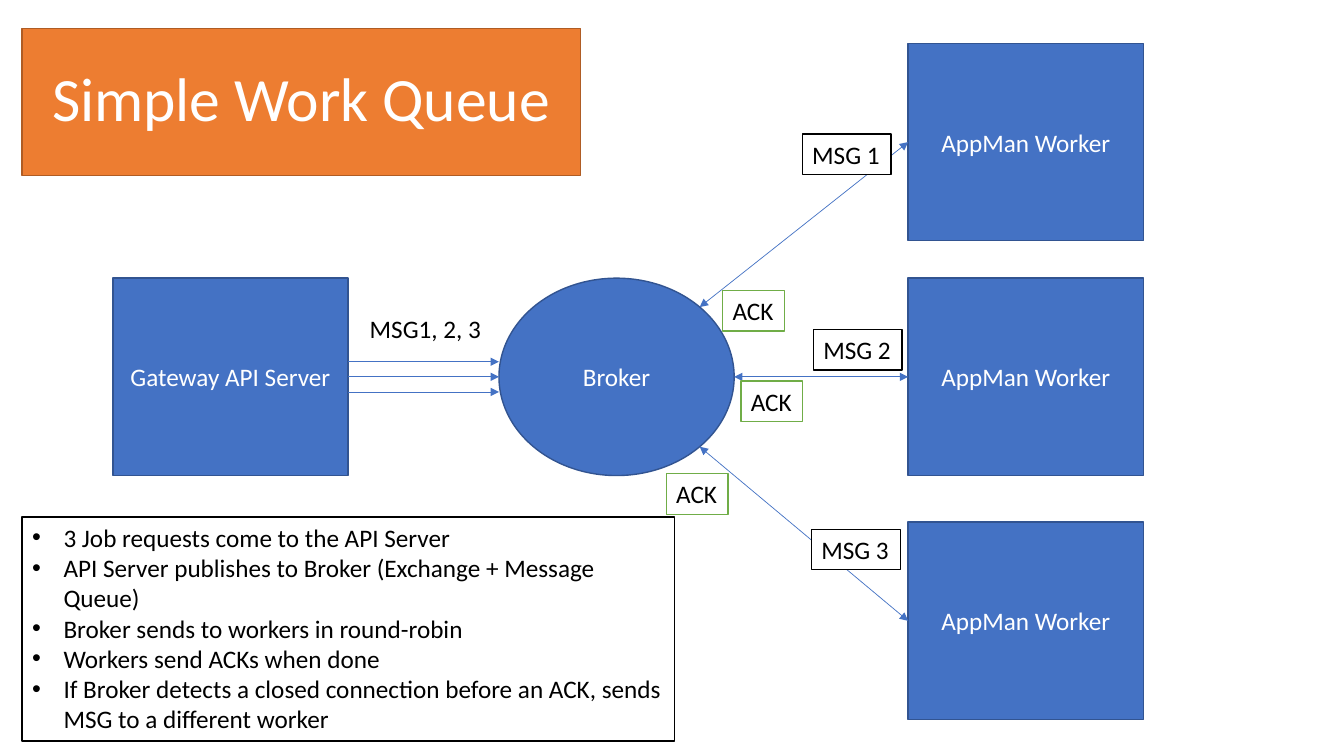
import math
from dataclasses import dataclass

import lxml.etree
import pptx
import pptx.dml.color
import pptx.enum.shapes
import pptx.enum.text
import pptx.oxml.ns
import pptx.util

Pt = pptx.util.Pt
Shape = pptx.enum.shapes.MSO_SHAPE
Align = pptx.enum.text.PP_ALIGN
Anchor = pptx.enum.text.MSO_ANCHOR
AutoSize = pptx.enum.text.MSO_AUTO_SIZE


@dataclass(frozen=True)
class Theme:
    font: str = "Calibri"
    title_size: float = 44
    body_size: float = 18
    outline: float = 1
    arrow: float = 0.5
    white: str = "FFFFFF"
    black: str = "000000"
    blue: str = "4472C4"
    blue_edge: str = "325491"
    orange: str = "ED7D31"
    orange_edge: str = "AF5C24"
    green: str = "70AD47"


THEME = Theme()
NODE_WIDTH, NODE_HEIGHT = 168, 141
LABEL_HEIGHT = 29
ROW_TOP = 198.7
WORKER_LEFT = 648.7
WORKER_TOPS = (31, ROW_TOP, 373)
BULLETS = (
    "3 Job requests come to the API Server",
    "API Server publishes to Broker (Exchange + Message Queue)",
    "Broker sends to workers in round-robin",
    "Workers send ACKs when done",
    "If Broker detects a closed connection before an ACK, sends MSG to a different worker",
)


def color(code):
    return pptx.dml.color.RGBColor.from_string(code)


def paint(shape, fill, edge):
    shape.fill.solid()
    shape.fill.fore_color.rgb = color(fill)
    shape.line.color.rgb = color(edge)
    shape.line.width = Pt(THEME.outline)


def write(para, text, ink, size=THEME.body_size, align=Align.LEFT):
    para.alignment = align
    span = para.add_run()
    span.text = text
    span.font.name = THEME.font
    span.font.size = Pt(size)
    span.font.color.rgb = color(ink)


def add_box(slide, box, fill, edge, kind=Shape.RECTANGLE):
    shape = slide.shapes.add_shape(kind, *map(Pt, box))
    shape.shadow.inherit = False
    paint(shape, fill, edge)
    return shape


def add_title(slide, box):
    title = slide.shapes.title
    title.left, title.top, title.width, title.height = map(Pt, box)
    paint(title, THEME.orange, THEME.orange_edge)
    title.text_frame.vertical_anchor = Anchor.MIDDLE
    para = title.text_frame.paragraphs[0]
    para.line_spacing = 0.9
    write(para, "Simple Work Queue", THEME.white, THEME.title_size, Align.CENTER)


def add_node(slide, left, top, text, kind=Shape.RECTANGLE):
    box = (left, top, NODE_WIDTH, NODE_HEIGHT)
    node = add_box(slide, box, THEME.blue, THEME.blue_edge, kind)
    node.text_frame.vertical_anchor = Anchor.MIDDLE
    write(node.text_frame.paragraphs[0], text, THEME.white, align=Align.CENTER)
    return node


def add_label(slide, box, text, edge=None):
    """Add a one-line label, boxed only when an edge colour is given."""
    if edge:
        label = add_box(slide, box, THEME.white, edge)
    else:
        label = slide.shapes.add_textbox(*map(Pt, box))
    frame = label.text_frame
    frame.word_wrap = False
    frame.auto_size = AutoSize.SHAPE_TO_FIT_TEXT
    frame.vertical_anchor = Anchor.TOP
    write(frame.paragraphs[0], text, THEME.black)


def add_arrow(slide, start, end, both_ways=False):
    arrow = slide.shapes.add_connector(
        pptx.enum.shapes.MSO_CONNECTOR.STRAIGHT, *map(Pt, start + end))
    arrow.line.color.rgb = color(THEME.blue)
    arrow.line.width = Pt(THEME.arrow)
    line = arrow.line._get_or_add_ln()
    for tag in ("a:headEnd", "a:tailEnd") if both_ways else ("a:tailEnd",):
        lxml.etree.SubElement(line, pptx.oxml.ns.qn(tag), type="triangle")
    lxml.etree.SubElement(arrow._element.spPr, pptx.oxml.ns.qn("a:effectLst"))
    return arrow


def add_publishing(slide, gateway, left, right, middle):
    """Send three parallel messages from the gateway to the broker."""
    for offset in (-10.8, 0, 10.8):
        y = middle + offset
        arrow = add_arrow(slide, (left, y), (right, y))
        if offset == 0:
            arrow.begin_connect(gateway, 3)
    add_label(slide, (left + 8.4, ROW_TOP + 21.6, 95, LABEL_HEIGHT), "MSG1, 2, 3")


def add_delivery(slide, workers, center_x, center_y):
    """Link the broker's right side to each worker, with message and ACK labels."""
    message_spots = ((573.1, 95.8), (581, 235.4), (579.6, 378))
    ack_spots = ((516.2, 207.4), (529.2, 272.2), (475.9, 338.4))
    for worker, top, angle in zip(workers, WORKER_TOPS, (-45, 0, 45)):
        turn = math.radians(angle)
        start = (center_x + NODE_WIDTH / 2 * math.cos(turn),
                 center_y + NODE_HEIGHT / 2 * math.sin(turn))
        end = (WORKER_LEFT, top + NODE_HEIGHT / 2)
        add_arrow(slide, start, end, both_ways=True).end_connect(worker, 1)
    for number, (message, ack) in enumerate(zip(message_spots, ack_spots), 1):
        add_label(slide, (*message, 63.5, LABEL_HEIGHT), f"MSG {number}", THEME.black)
        add_label(slide, (*ack, 44.2, LABEL_HEIGHT), "ACK", THEME.green)


def add_flow(slide, gateway_left, broker_left):
    gateway = add_node(slide, gateway_left, ROW_TOP, "Gateway API Server")
    workers = [add_node(slide, WORKER_LEFT, top, "AppMan Worker") for top in WORKER_TOPS]
    add_node(slide, broker_left, ROW_TOP, "Broker", Shape.OVAL)
    middle = ROW_TOP + NODE_HEIGHT / 2
    add_publishing(slide, gateway, gateway_left + NODE_WIDTH, broker_left, middle)
    add_delivery(slide, workers, broker_left + NODE_WIDTH / 2, middle)


def add_steps(slide, box):
    frame = add_box(slide, box, THEME.white, THEME.black).text_frame
    frame.word_wrap = True
    frame.auto_size = AutoSize.SHAPE_TO_FIT_TEXT
    frame.vertical_anchor = Anchor.TOP
    for index, text in enumerate(BULLETS):
        para = frame.add_paragraph() if index else frame.paragraphs[0]
        write(para, text, THEME.black)
        properties = para._p.get_or_add_pPr()
        properties.set("marL", str(Pt(22.5)))
        properties.set("indent", str(-Pt(22.5)))
        qn = pptx.oxml.ns.qn
        lxml.etree.SubElement(properties, qn("a:buFont"), typeface="Arial")
        lxml.etree.SubElement(properties, qn("a:buChar"), char="•")


def main():
    deck = pptx.Presentation()
    deck.slide_width, deck.slide_height = Pt(960), Pt(540)
    slide = deck.slides.add_slide(deck.slide_layouts[5])
    add_title(slide, (15.8, 20.5, 399, 104.8))
    add_flow(slide, gateway_left=80.6, broker_left=356.4)
    add_steps(slide, (15.8, 369.4, 466, 160))
    deck.save("out.pptx")


if __name__ == "__main__":
    main()
